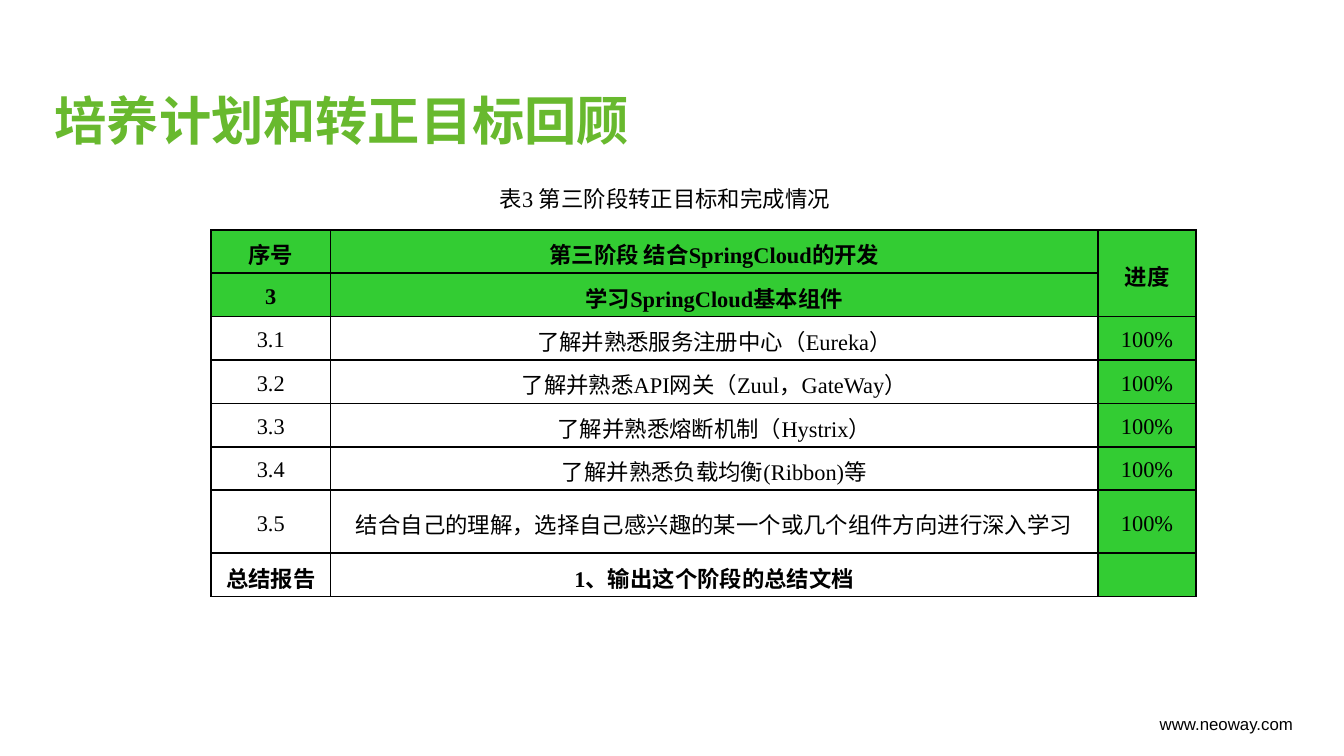
import pptx
import pptx.dml.color
import pptx.enum.text
import pptx.oxml
import pptx.oxml.ns
import pptx.util

Inches = pptx.util.Inches
Pt = pptx.util.Pt
ALIGN = pptx.enum.text.PP_ALIGN
ANCHOR = pptx.enum.text.MSO_ANCHOR

BLACK = "000000"
TITLE_GREEN = "68B92E"
CELL_GREEN = "33CC33"
CHINESE_FONT = "Noto Sans CJK SC"
SERIF_FONT = "Times New Roman"

COLUMN_WIDTHS = [0.89, 5.71, 0.73]
TABLE_HEIGHT = 2.73
TALL_ROW = 6
TALL_ROW_HEIGHT = 0.47
HEADER_ROWS = 2
PROGRESS_COLUMN = 2
GOALS = [
    ("序号", "第三阶段 结合SpringCloud的开发", "进度"),
    ("3", "学习SpringCloud基本组件", ""),
    ("3.1", "了解并熟悉服务注册中心（Eureka）", "100%"),
    ("3.2", "了解并熟悉API网关（Zuul，GateWay）", "100%"),
    ("3.3", "了解并熟悉熔断机制（Hystrix）", "100%"),
    ("3.4", "了解并熟悉负载均衡(Ribbon)等", "100%"),
    ("3.5", "结合自己的理解，选择自己感兴趣的某一个或几个组件方向进行深入学习", "100%"),
    ("总结报告", "1、输出这个阶段的总结文档", ""),
]


def rgb(hex_code):
    """Turn a hex string into a colour."""
    return pptx.dml.color.RGBColor.from_string(hex_code)


def write_text(frame, text, size=12, font=SERIF_FONT, color=BLACK, bold=False,
               align=ALIGN.LEFT, spacing=1.0):
    """Write one formatted paragraph into a text frame."""
    paragraph = frame.paragraphs[0]
    paragraph.alignment = align
    paragraph.line_spacing = spacing
    run = paragraph.add_run()
    run.text = text
    run.font.size = Pt(size)
    run.font.name = font
    run.font.bold = bold
    run.font.color.rgb = rgb(color)
    east_asian = pptx.oxml.parse_xml(
        f'<a:ea {pptx.oxml.ns.nsdecls("a")} typeface="{CHINESE_FONT}"/>')
    run.font._element.find(pptx.oxml.ns.qn("a:latin")).addnext(east_asian)


def add_label(slide, text, left, top, width, height, wrap=False,
              anchor=ANCHOR.TOP, **text_format):
    """Add a text box holding one line."""
    box = slide.shapes.add_textbox(
        Inches(left), Inches(top), Inches(width), Inches(height))
    box.text_frame.word_wrap = wrap
    box.text_frame.vertical_anchor = anchor
    write_text(box.text_frame, text, **text_format)


def outline_cell(cell, color=BLACK, width=1):
    """Draw all four borders of a table cell."""
    properties = cell._tc.get_or_add_tcPr()
    for side in ("lnL", "lnR", "lnT", "lnB"):
        properties.append(pptx.oxml.parse_xml(
            f'<a:{side} {pptx.oxml.ns.nsdecls("a")} w="{Pt(width)}">'
            f'<a:solidFill><a:srgbClr val="{color}"/></a:solidFill></a:{side}>'))


def format_cell(cell, text, bold, fill):
    """Fill, outline and write one table cell."""
    outline_cell(cell)
    if fill:
        cell.fill.solid()
        cell.fill.fore_color.rgb = rgb(fill)
    else:
        cell.fill.background()
    cell.margin_left = cell.margin_right = Inches(0.07)
    cell.margin_top = cell.margin_bottom = 0
    cell.vertical_anchor = ANCHOR.MIDDLE
    if text:
        write_text(cell.text_frame, text, bold=bold, align=ALIGN.CENTER, spacing=1.15)


def add_goal_table(slide, left, top):
    """Add the table of stage goals and their progress."""
    goal_table = slide.shapes.add_table(
        len(GOALS), len(COLUMN_WIDTHS), Inches(left), Inches(top),
        Inches(sum(COLUMN_WIDTHS)), Inches(TABLE_HEIGHT)).table
    goal_table.first_row = False
    goal_table.horz_banding = False
    for column, width in zip(goal_table.columns, COLUMN_WIDTHS):
        column.width = Inches(width)
    for row in goal_table.rows:
        row.height = Inches((TABLE_HEIGHT - TALL_ROW_HEIGHT) / (len(GOALS) - 1))
    goal_table.rows[TALL_ROW].height = Inches(TALL_ROW_HEIGHT)
    goal_table.cell(0, PROGRESS_COLUMN).merge(
        goal_table.cell(HEADER_ROWS - 1, PROGRESS_COLUMN))
    for row_index, goal in enumerate(GOALS):
        is_header = row_index < HEADER_ROWS
        is_summary = row_index == len(GOALS) - 1
        for column_index, text in enumerate(goal):
            is_green = is_header or column_index == PROGRESS_COLUMN
            format_cell(goal_table.cell(row_index, column_index), text,
                        bold=is_header or is_summary,
                        fill=CELL_GREEN if is_green else None)


def main():
    """Build the slide and save it."""
    presentation = pptx.Presentation()
    presentation.slide_width = Inches(10)
    presentation.slide_height = Inches(10 * 9 / 16)
    slide = presentation.slides.add_slide(presentation.slide_layouts[6])
    add_label(slide, "www.neoway.com", 8.53, 5.26, 1.21, 0.25, size=9, font="Arial")
    add_label(slide, "培养计划和转正目标回顾", 0.31, 0.63, 8.36, 0.58, wrap=True,
              anchor=ANCHOR.MIDDLE, size=28, font=CHINESE_FONT,
              color=TITLE_GREEN, bold=True, spacing=0.9)
    add_label(slide, "表3 第三阶段转正目标和完成情况", 3.62, 1.33, 2.77, 0.3)
    add_goal_table(slide, 1.57, 1.71)
    presentation.save("out.pptx")


if __name__ == "__main__":
    main()
